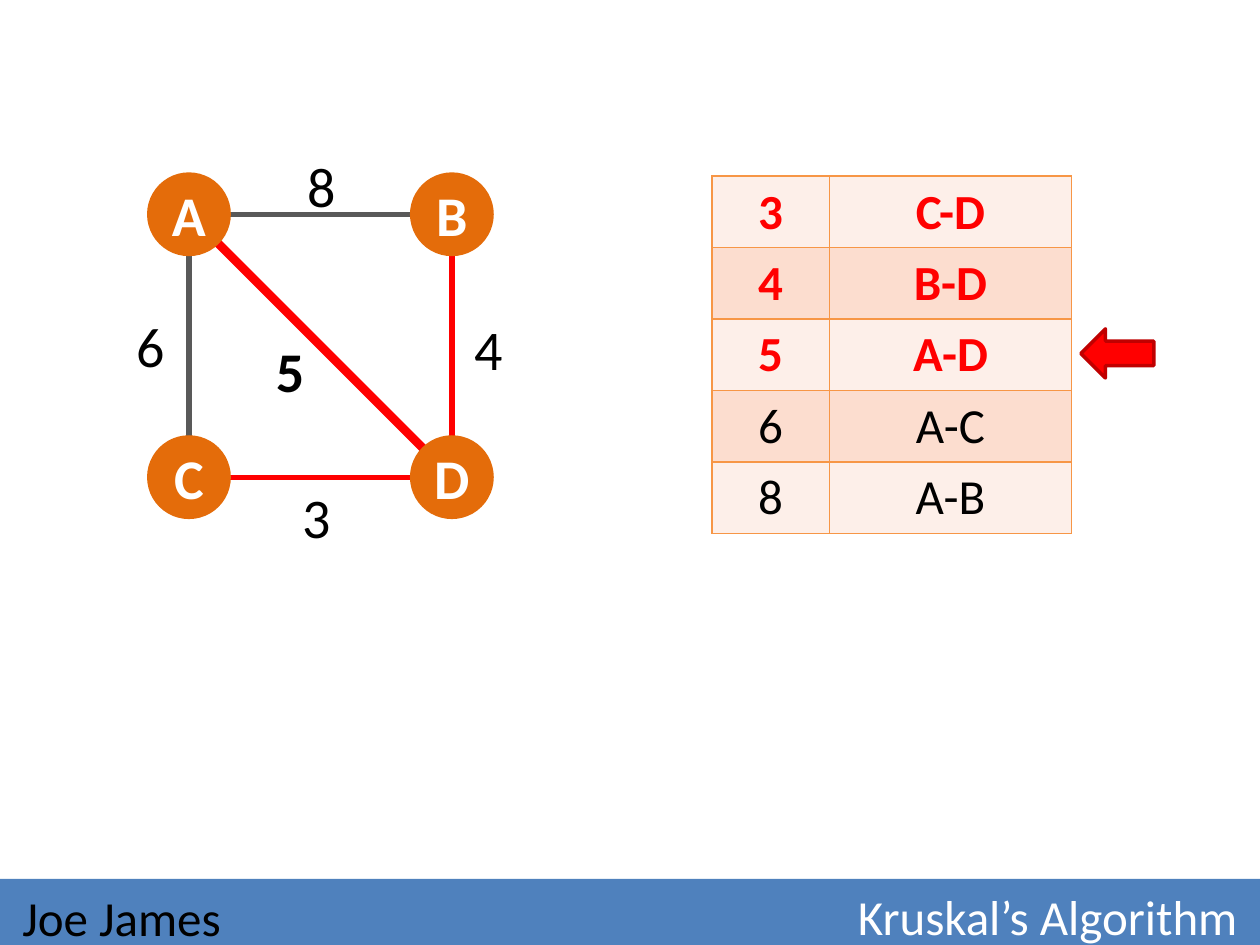
from dataclasses import dataclass

from lxml.etree import SubElement
from pptx import Presentation
from pptx.dml.color import RGBColor
from pptx.enum.shapes import MSO_CONNECTOR, MSO_SHAPE
from pptx.enum.text import MSO_ANCHOR, PP_ALIGN
from pptx.oxml.ns import qn
from pptx.util import Cm, Pt

COLORS = {
    "bar": "4F81BD", "white": "FFFFFF", "black": "000000", "node": "E46C0A",
    "edge": "595959", "chosen": "FF0000", "arrow_line": "C00000",
    "border": "F79646", "light_row": "FDEFE9", "dark_row": "FCDDCF",
}
FONT = "Calibri"
NODE_SIZE = 1.69
LEFT, TOP, SPACING = 3.81, 4.32, 5.3
BAR_TOP = 17.72
NODES = {
    "A": (LEFT, TOP),
    "B": (LEFT + SPACING, TOP),
    "C": (LEFT, TOP + SPACING),
    "D": (LEFT + SPACING, TOP + SPACING),
}


@dataclass
class Edge:
    start: str
    end: str
    weight: int
    label_left: float
    label_top: float
    chosen: bool = False
    current: bool = False


EDGES = [
    Edge("C", "D", 3, 5.84, 9.6, chosen=True),
    Edge("B", "D", 4, 9.32, 6.22, chosen=True),
    Edge("A", "D", 5, 5.31, 6.65, chosen=True, current=True),
    Edge("A", "C", 6, 2.51, 6.15),
    Edge("A", "B", 8, 5.94, 2.92),
]


def color(name: str) -> RGBColor:
    return RGBColor.from_string(COLORS[name])


def write_text(frame, text: str, size: int = 32, fill: str = "black", bold: bool = False,
               align=PP_ALIGN.LEFT, anchor=None) -> None:
    frame.text = text
    frame.word_wrap = True
    if anchor is not None:
        frame.vertical_anchor = anchor
    paragraph = frame.paragraphs[0]
    paragraph.alignment = align
    font = paragraph.runs[0].font
    font.name, font.size, font.bold = FONT, Pt(size), bold
    font.color.rgb = color(fill)


def add_shape(slide, kind, left: float, top: float, width: float, height: float,
              fill: str, line: str | None = None):
    shape = slide.shapes.add_shape(kind, Cm(left), Cm(top), Cm(width), Cm(height))
    shape.shadow.inherit = False
    shape.fill.solid()
    shape.fill.fore_color.rgb = color(fill)
    if line:
        shape.line.color.rgb = color(line)
        shape.line.width = Pt(2)
    else:
        shape.line.fill.background()
    return shape


def add_label(slide, text: str, left: float, top: float, width: float, height: float, **style):
    box = slide.shapes.add_textbox(Cm(left), Cm(top), Cm(width), Cm(height))
    write_text(box.text_frame, text, **style)


def add_edge(slide, edge: Edge) -> None:
    points = [Cm(value) for value in NODES[edge.start] + NODES[edge.end]]
    connector = slide.shapes.add_connector(MSO_CONNECTOR.STRAIGHT, *points)
    connector.line.color.rgb = color("chosen" if edge.chosen else "edge")
    connector.line.width = Pt(5 if edge.current else 3)
    SubElement(connector.element.spPr, qn("a:effectLst"))


def add_node(slide, name: str, center_x: float, center_y: float) -> None:
    node = add_shape(slide, MSO_SHAPE.OVAL, center_x - NODE_SIZE / 2, center_y - NODE_SIZE / 2,
                     NODE_SIZE, NODE_SIZE, "node")
    frame = node.text_frame
    write_text(frame, name, fill="white", bold=True, align=PP_ALIGN.CENTER,
               anchor=MSO_ANCHOR.MIDDLE)
    frame.word_wrap = False
    frame.margin_left = frame.margin_right = frame.margin_top = frame.margin_bottom = 0


def set_borders(cell) -> None:
    properties = cell._tc.get_or_add_tcPr()
    for position, side in enumerate(("a:lnL", "a:lnR", "a:lnT", "a:lnB")):
        line = properties.makeelement(qn(side), {"w": str(Pt(1))})
        fill = SubElement(line, qn("a:solidFill"))
        SubElement(fill, qn("a:srgbClr"), val=COLORS["border"])
        properties.insert(position, line)


def add_edge_table(slide) -> None:
    widths, row_height = (2.37, 4.88), 1.44
    frame = slide.shapes.add_table(len(EDGES), len(widths), Cm(14.35), Cm(3.55),
                                   Cm(sum(widths)), Cm(row_height * len(EDGES)))
    table = frame.table
    for column, width in zip(table.columns, widths):
        column.width = Cm(width)
    for index, edge in enumerate(EDGES):
        table.rows[index].height = Cm(row_height)
        values = (str(edge.weight), f"{edge.start}-{edge.end}")
        for cell, value in zip(table.rows[index].cells, values):
            write_text(cell.text_frame, value, size=28, bold=edge.chosen,
                       fill="chosen" if edge.chosen else "black", align=PP_ALIGN.CENTER)
            cell.fill.solid()
            cell.fill.fore_color.rgb = color("dark_row" if index % 2 else "light_row")
            set_borders(cell)


def add_footer(slide) -> None:
    bar = add_shape(slide, MSO_SHAPE.RECTANGLE, 0, BAR_TOP, 25.4, 1.33, "bar")
    title = slide.shapes.title
    title.element.addprevious(bar.element)  # keeps the bar behind the title
    title.left, title.top, title.width, title.height = Cm(7.62), Cm(BAR_TOP), Cm(17.58), Cm(1.47)
    write_text(title.text_frame, "Kruskal’s Algorithm", size=28, fill="white",
               align=PP_ALIGN.RIGHT, anchor=MSO_ANCHOR.MIDDLE)
    add_label(slide, "Joe James", 0.2, BAR_TOP, 7.42, 1.52, size=28, anchor=MSO_ANCHOR.MIDDLE)


def main() -> None:
    presentation = Presentation()
    presentation.slide_width, presentation.slide_height = Cm(25.4), Cm(19.05)
    slide = presentation.slides.add_slide(presentation.slide_layouts[5])
    add_footer(slide)
    for edge in EDGES:
        add_edge(slide, edge)
    for name, center in NODES.items():
        add_node(slide, name, *center)
    for edge in EDGES:
        add_label(slide, str(edge.weight), edge.label_left, edge.label_top, 2.49, 1.63,
                  bold=edge.current)
    add_edge_table(slide)
    add_shape(slide, MSO_SHAPE.LEFT_ARROW, 21.79, 6.63, 1.47, 0.99, "chosen", "arrow_line")
    presentation.save("out.pptx")


if __name__ == "__main__":
    main()
